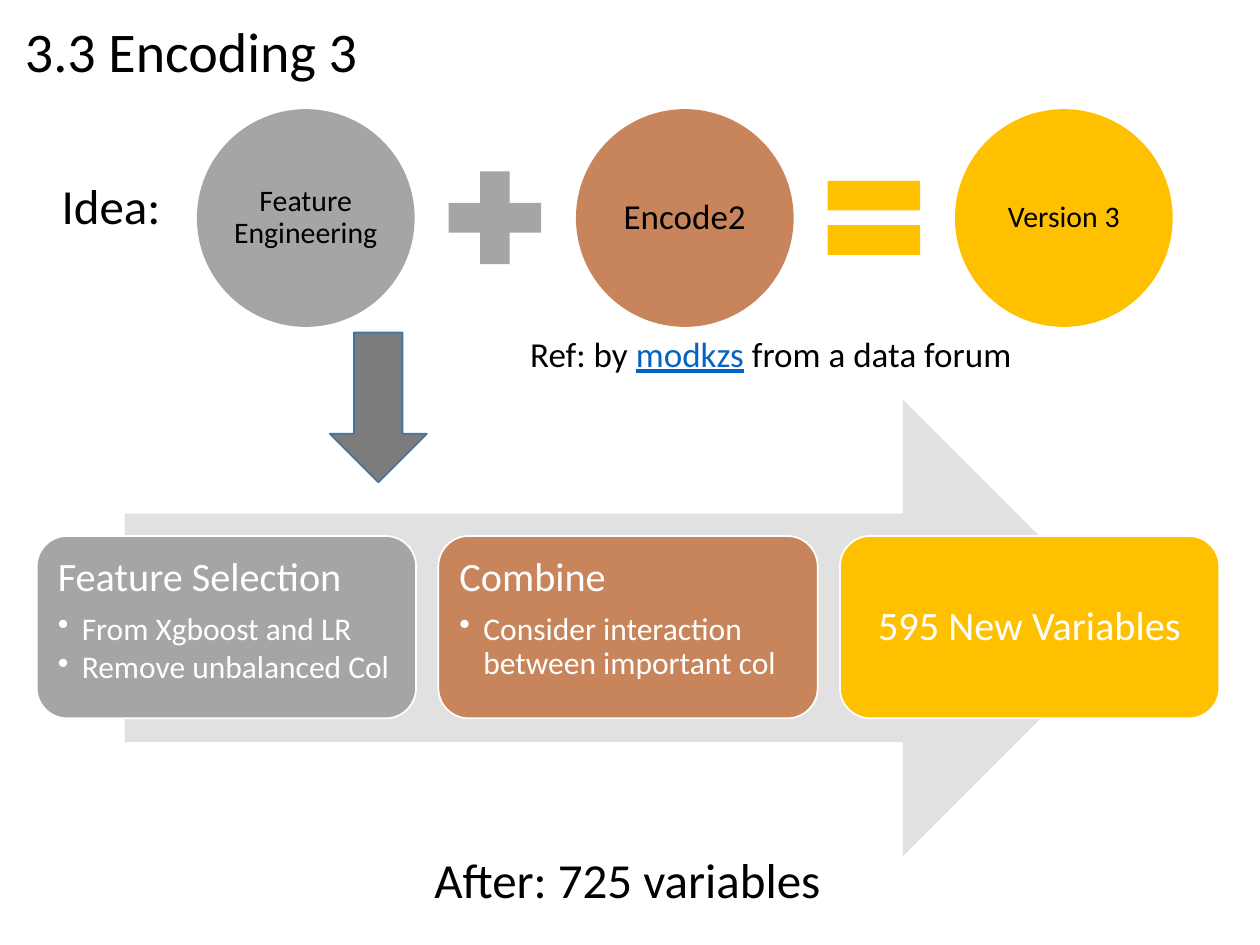
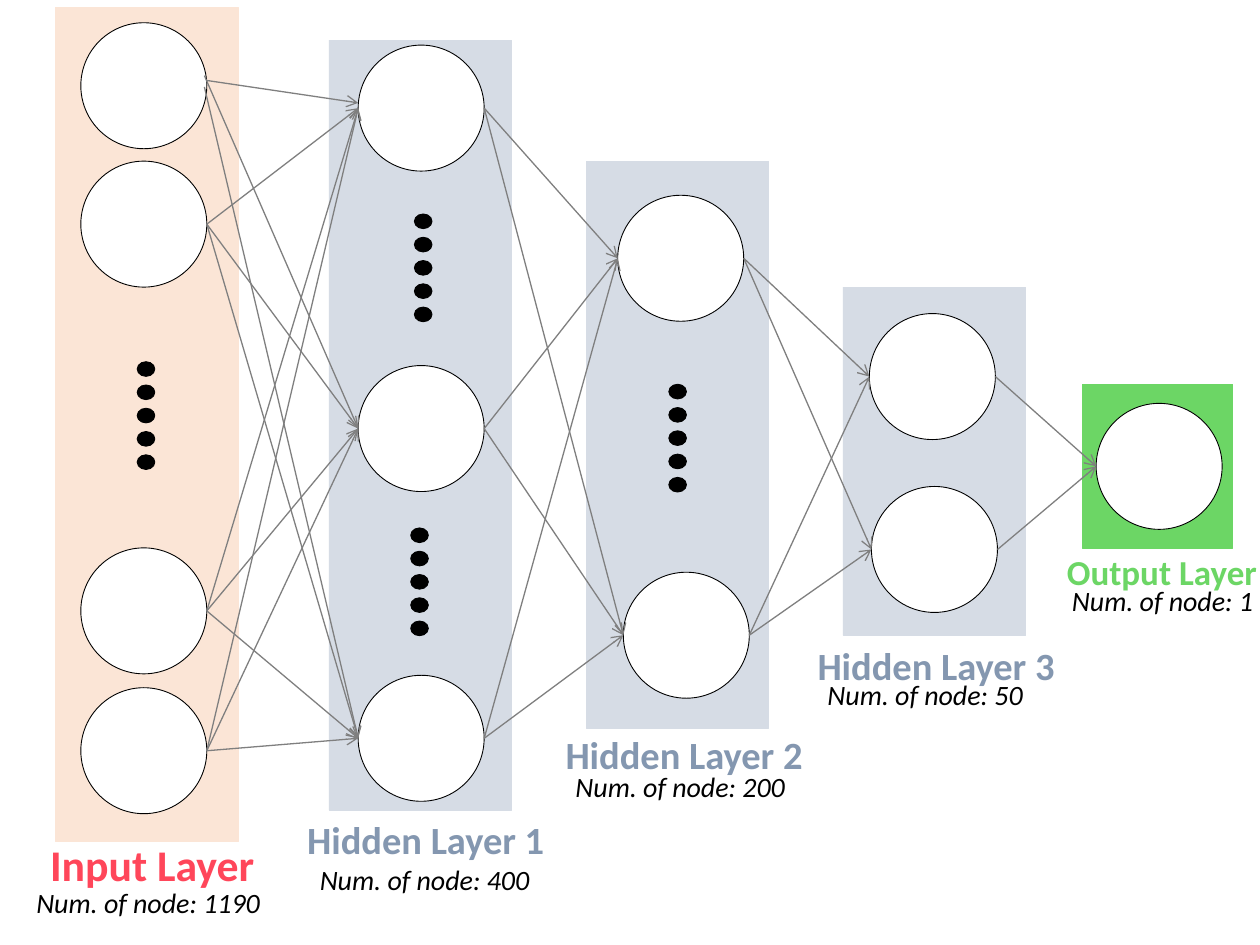
"""Builds two slides: the third encoding scheme and the network layers."""
import itertools

import pptx
import pptx.dml.color
import pptx.enum.shapes
import pptx.enum.text
import pptx.oxml
import pptx.oxml.ns
import pptx.util

Pt = pptx.util.Pt
RGB = pptx.dml.color.RGBColor
KIND = pptx.enum.shapes.MSO_SHAPE
LINK = pptx.enum.shapes.MSO_CONNECTOR
ALIGN = pptx.enum.text.PP_ALIGN
ANCHOR = pptx.enum.text.MSO_ANCHOR

BLACK = RGB(0x00, 0x00, 0x00)
WHITE = RGB(0xFF, 0xFF, 0xFF)
GREY = RGB(0xA5, 0xA5, 0xA5)
COPPER = RGB(0xC8, 0x85, 0x5C)
GOLD = RGB(0xFF, 0xC0, 0x00)
PALE = RGB(0xE1, 0xE1, 0xE1)
STONE = RGB(0x7C, 0x7C, 0x7C)
NAVY = RGB(0x43, 0x73, 0x9E)
BLUE = RGB(0x05, 0x63, 0xC1)
PEACH = RGB(0xFB, 0xE5, 0xD6)
MIST = RGB(0xD6, 0xDC, 0xE5)
SLATE = RGB(0x84, 0x97, 0xB0)
ROSE = RGB(0xFF, 0x46, 0x5A)
GREEN = RGB(0x6C, 0xD6, 0x65)
WIRE = RGB(0x7F, 0x7F, 0x7F)

FONT = "Calibri"
NODE = 72
STEP = 13.3
INDENT = 13.7
SIDES = ("margin_left", "margin_top", "margin_right", "margin_bottom")

LAYERS = [
    {"band": (31.7, 4.3, 104.4, 476.6), "fill": PEACH,
     "nodes": [(46.2, 13), (46.2, 92.1), (46.2, 313.1), (46.2, 393)],
     "dots": [(78.4, 206.7)],
     "name": ("Input Layer", 21.6, 475.2, 25, ROSE),
     "count": ("Num. of node: 1190", 13.7, 502.6)},
    {"band": (188, 23, 104.4, 440), "fill": MIST,
     "nodes": [(204.7, 25.8), (204.7, 208.9), (204.7, 385.9)],
     "dots": [(236.8, 122.3), (234.7, 301.7)],
     "name": ("Hidden Layer 1", 168.5, 463, 22, SLATE),
     "count": ("Num. of node: 400", 175.7, 489.6)},
    {"band": (334.9, 92.1, 104.4, 324), "fill": MIST,
     "nodes": [(353, 111.6), (356.2, 327)],
     "dots": [(382.2, 219.6)],
     "name": ("Hidden Layer 2", 316.1, 414, 22, SLATE),
     "count": ("Num. of node: 200", 321.8, 436.3)},
    {"band": (481.7, 164.1, 104.4, 199), "fill": MIST,
     "nodes": [(496.8, 179.2), (498, 278)],
     "dots": [],
     "name": ("Hidden Layer 3", 460.1, 363.5, 22, SLATE),
     "count": ("Num. of node: 50", 465.8, 383.8)},
    {"band": (618.4, 219.5, 86, 93.8), "fill": GREEN,
     "nodes": [(626.4, 230.5)],
     "dots": [],
     "name": ("Output Layer", 602.6, 311, 20, GREEN),
     "count": ("Num. of node: 1", 605.5, 329.8)},
]


def write(para, text, color, **style):
    """Add a run in the shared font, with the given style."""
    run = para.add_run()
    run.text = text
    for key, value in {"name": FONT, **style}.items():
        setattr(run.font, key, value)
    run.font.color.rgb = color


def label(slide, text, box, size, color=BLACK, wrap=False, **style):
    """Add a text box with one line of text."""
    frame = slide.shapes.add_textbox(*map(Pt, box)).text_frame
    frame.word_wrap = wrap
    write(frame.paragraphs[0], text, color, size=Pt(size), **style)
    return frame.paragraphs[0]


def shape(slide, kind, box, fill, line=None, width=0.5):
    """Add a flat preset shape."""
    item = slide.shapes.add_shape(kind, *map(Pt, box))
    item.shadow.inherit = False
    item.fill.solid()
    item.fill.fore_color.rgb = fill
    if line is None:
        item.line.fill.background()
    else:
        item.line.color.rgb = line
        item.line.width = Pt(width)
    return item


def setup(item, pad, anchor):
    """Set the insets and anchor of a shape's text."""
    frame = item.text_frame
    values = {"word_wrap": True, "vertical_anchor": anchor}
    values.update(dict.fromkeys(SIDES, Pt(pad)))
    for key, value in values.items():
        setattr(frame, key, value)
    return frame


def space(para, align, after):
    """Set the alignment and spacing of a paragraph."""
    values = {"alignment": align, "line_spacing": 0.9, "space_after": Pt(after)}
    for key, value in values.items():
        setattr(para, key, value)


def bullet(para):
    """Give a paragraph a hanging round bullet."""
    props = para._p.get_or_add_pPr()
    props.set("marL", str(Pt(INDENT)))
    props.set("indent", str(-Pt(INDENT)))
    mark = pptx.oxml.parse_xml(
        "<a:buChar %s char='•'/>" % pptx.oxml.ns.nsdecls("a"))
    props.append(mark)


def disc(slide, left, text, size, fill):
    """Add a large circle with centred text."""
    item = shape(slide, KIND.OVAL, (left, 62.4, 124.4, 124.4), fill)
    para = setup(item, 1.5, ANCHOR.MIDDLE).paragraphs[0]
    space(para, ALIGN.CENTER, 0)
    write(para, text, BLACK, size=Pt(size))


def card(slide, left, head, points, fill):
    """Add a rounded card with a heading and bullets."""
    item = shape(slide, KIND.ROUNDED_RECTANGLE, (left, 306.3, 216.8, 104.2),
                 fill, WHITE, 1)
    frame = setup(item, 7, ANCHOR.TOP if points else ANCHOR.MIDDLE)
    para = frame.paragraphs[0]
    space(para, ALIGN.LEFT if points else ALIGN.CENTER, 7 if points else 0)
    write(para, head, WHITE, size=Pt(23))
    for point in points:
        para = frame.add_paragraph()
        bullet(para)
        space(para, ALIGN.LEFT, 2.7)
        write(para, point, WHITE, size=Pt(18))


def arrow(slide, start, end):
    """Draw a thin line with an open arrowhead."""
    wire = slide.shapes.add_connector(LINK.STRAIGHT, *map(Pt, start + end))
    wire.line.color.rgb = WIRE
    wire.line.width = Pt(0.75)
    space_decl = pptx.oxml.ns.nsdecls("a")
    tip = pptx.oxml.parse_xml("<a:tailEnd %s type='arrow'/>" % space_decl)
    wire.line._get_or_add_ln().append(tip)
    flat = pptx.oxml.parse_xml("<a:effectLst %s/>" % space_decl)
    wire._element.spPr.append(flat)


def dots(slide, left, top):
    """Draw a column of five dots."""
    for row in range(5):
        shape(slide, KIND.OVAL, (left, top + row * STEP, 10.1, 8.4),
              BLACK, BLACK)


def layer(slide, data):
    """Draw one layer: band, nodes, dots and labels."""
    shape(slide, KIND.RECTANGLE, data["band"], data["fill"], data["fill"])
    for left, top in data["nodes"]:
        shape(slide, KIND.OVAL, (left, top, NODE, NODE), WHITE, BLACK)
    for left, top in data["dots"]:
        dots(slide, left, top)
    text, left, top, size, color = data["name"]
    label(slide, text, (left, top, 152, 34), size, color, True, bold=True)
    text, left, top = data["count"]
    label(slide, text, (left, top, 155, 26.6), 16, wrap=True, italic=True)


def wires(slide):
    """Join each node to every node of the next layer."""
    fan = iter([(0, -3, -3), (-1.4, -5.8, 0), (-1.4, 0.7, 0)])
    for here, there in itertools.pairwise(LAYERS):
        for (ax, ay), (bx, by) in itertools.product(
                here["nodes"], there["nodes"]):
            dx, dy, drop = next(fan, (0, 0, 0))
            arrow(slide, (ax + NODE + dx, ay + NODE / 2 + dy),
                  (bx, by + NODE / 2 + drop))


def encode(slide):
    """Fill the encoding slide."""
    label(slide, "3.3 Encoding 3", (7.2, 5.8, 211, 46), 32)
    label(slide, "After: 725 variables", (241.2, 481.7, 241.9, 41), 28)
    label(slide, "Idea:", (28.1, 96.5, 73.4, 41), 28)
    discs = [("Feature Engineering", 17, GREY), ("Encode2", 20, COPPER),
             ("Version 3", 17, GOLD)]
    for col, (text, size, fill) in enumerate(discs):
        disc(slide, 112.5 + col * 216.6, text, size, fill)
    signs = [(KIND.MATH_PLUS, GREY), (KIND.MATH_EQUAL, GOLD)]
    for col, (kind, fill) in enumerate(signs):
        shape(slide, kind, (246.8 + col * 216.6, 88.5, 72, 72), fill)
    para = label(slide, "Ref: by ", (295.9, 186.5, 300.2, 31.7), 20)
    write(para, "modkzs", BLUE, size=Pt(20), underline=True)
    write(para, " from a data forum", BLACK, size=Pt(20))
    shape(slide, KIND.RIGHT_ARROW, (71.2, 228.2, 575.3, 261.2), PALE)
    cards = [
        ("Feature Selection",
         ["From Xgboost and LR", "Remove unbalanced Col"], GREY),
        ("Combine", ["Consider interaction between important col"], COPPER),
        ("595 New Variables", [], GOLD)]
    for col, (head, points, fill) in enumerate(cards):
        card(slide, 21 + col * 229.5, head, points, fill)
    shape(slide, KIND.DOWN_ARROW, (188.5, 190, 55.4, 85.6), STONE, NAVY, 1)


def network(slide):
    """Fill the network slide."""
    for data in LAYERS:
        layer(slide, data)
    wires(slide)


def main():
    """Build and save both slides."""
    deck = pptx.Presentation()
    deck.slide_width, deck.slide_height = Pt(720), Pt(540)
    for fill in (encode, network):
        fill(deck.slides.add_slide(deck.slide_layouts[6]))
    deck.save("out.pptx")


if __name__ == "__main__":
    main()
